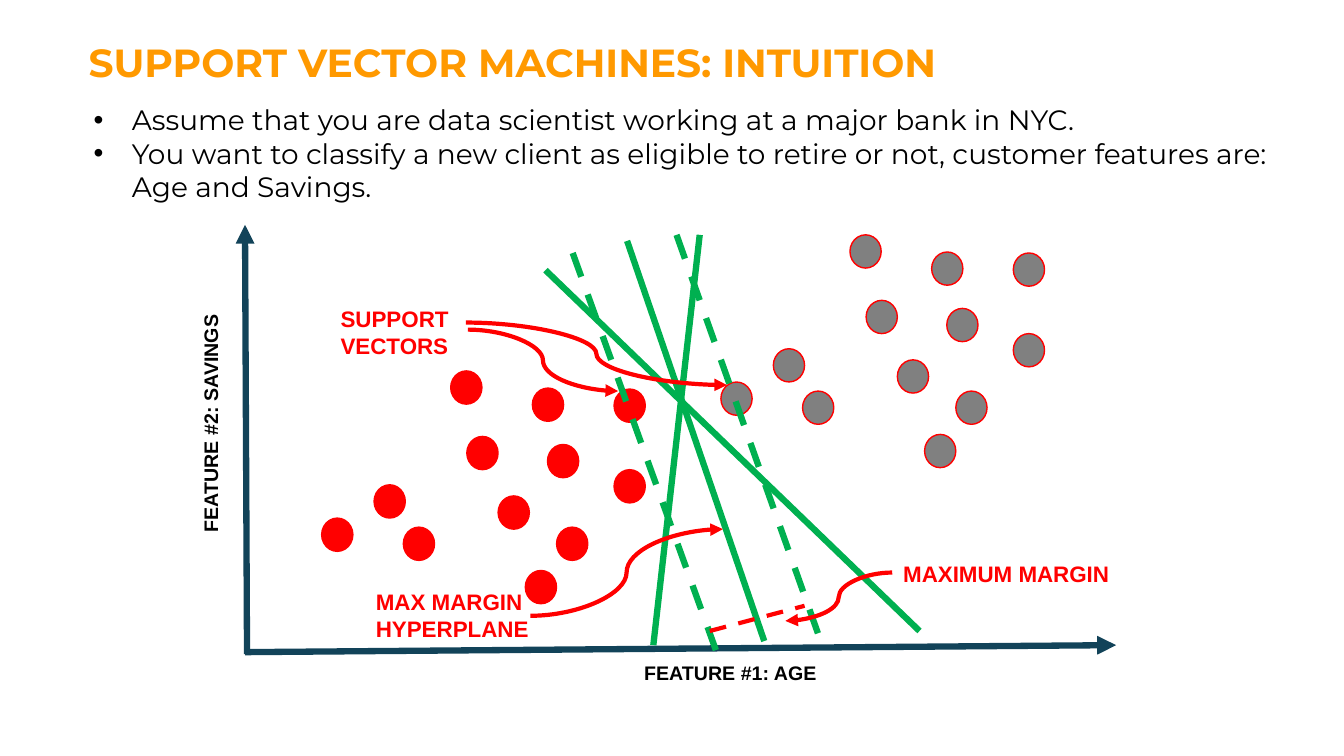
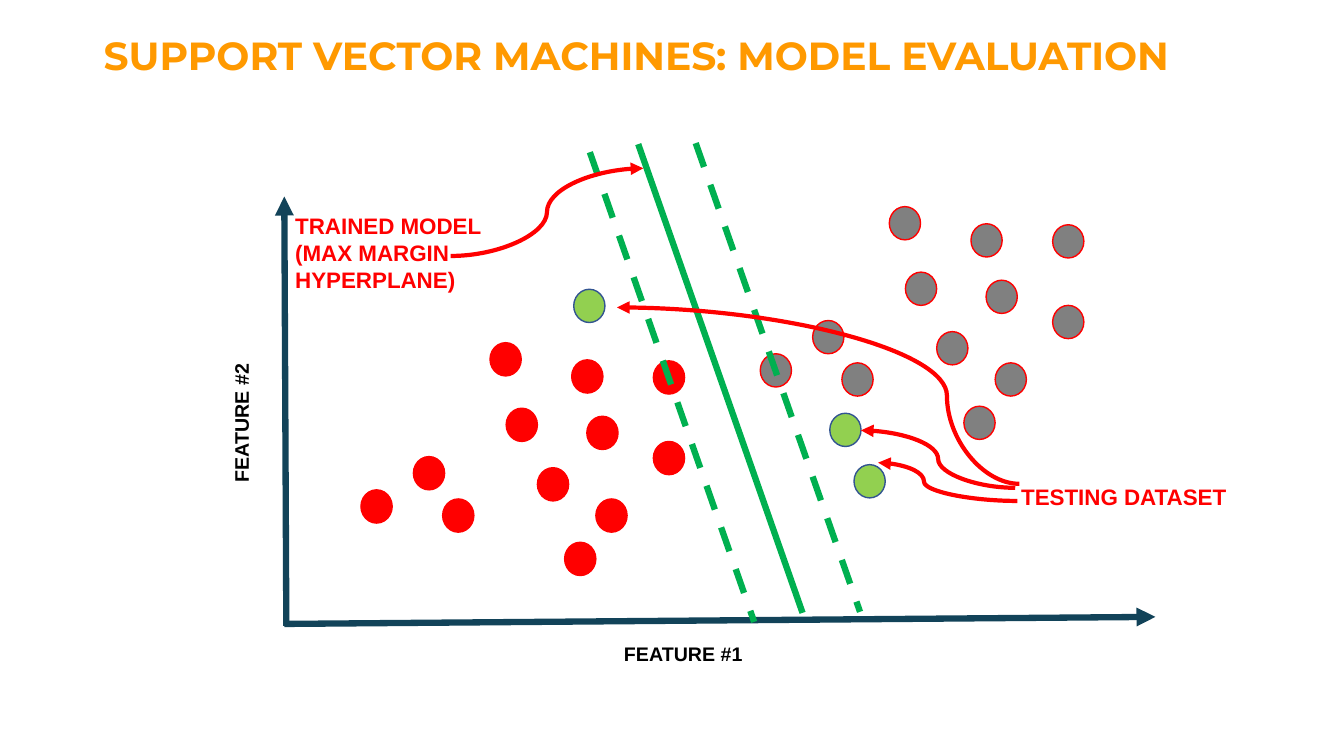
import pptx
import pptx.dml.color
import pptx.enum.dml
import pptx.enum.shapes
import pptx.enum.text
import pptx.oxml.ns
import pptx.util
from lxml import etree

Inches = pptx.util.Inches
Pt = pptx.util.Pt
qn = pptx.oxml.ns.qn
CONNECTOR = pptx.enum.shapes.MSO_CONNECTOR

ORANGE = "FF9900"
BLACK = "000000"
NAVY = "124359"
GREEN = "00B050"
LIME = "92D050"
BLUE = "325491"
RED = "FF0000"
GRAY = "808080"

DOT_SIZE = (0.31, 0.33)
CLUSTER = [
    (0, 0), (0.52, -0.33), (0.81, 0.09), (1.75, -0.22),
    (1.44, -0.81), (1.28, -1.46), (2.09, -1.29), (2.24, -0.73),
    (2.33, 0.09), (2.02, 0.52), (2.9, -0.48), (2.9, -1.28),
]
RED_CLUSTER = (0.76, 2.91)
GRAY_CLUSTER = (4.72, 1.56)


def color(hex_string):
    return pptx.dml.color.RGBColor.from_string(hex_string)


def shift(origin, point):
    return origin[0] + point[0], origin[1] + point[1]


def add_text(shapes, position, size, lines, font_size, hex_string,
             font_name="Arial", bold=True, wrap=False):
    shape = shapes.add_textbox(*map(Inches, (*position, *size)))
    frame = shape.text_frame
    frame.word_wrap = wrap
    frame.auto_size = pptx.enum.text.MSO_AUTO_SIZE.SHAPE_TO_FIT_TEXT
    frame.text = "\n".join(lines)
    for paragraph in frame.paragraphs:
        font = paragraph.font
        font.name = font_name
        font.size = Pt(font_size)
        font.bold = bold
        font.color.rgb = color(hex_string)
    return shape


def add_title(slide, position, width, text):
    add_text(slide.shapes, position, (width, 0.57), [text], 28, ORANGE,
             "Montserrat", wrap=True)


def add_bullets(slide, position, size, lines):
    shape = add_text(slide.shapes, position, size, lines, 20, BLACK,
                     "Montserrat", bold=False, wrap=True)
    for paragraph in shape.text_frame.paragraphs:
        properties = paragraph._p.get_or_add_pPr()
        properties.set("marL", str(Inches(0.38)))
        properties.set("indent", str(Inches(-0.38)))
        bullet_font = etree.Element(qn("a:buFont"), typeface="Arial")
        bullet = etree.Element(qn("a:buChar"), char="•")
        properties.insert(0, bullet_font)
        properties.insert(1, bullet)


def add_line(shapes, origin, start, end, hex_string, width=4.5,
             dashed=False, arrow=False, bend=None):
    kind = CONNECTOR.STRAIGHT if bend is None else CONNECTOR.CURVE
    ends = (*shift(origin, start), *shift(origin, end))
    connector = shapes.add_connector(kind, *map(Inches, ends))
    connector.line.color.rgb = color(hex_string)
    connector.line.width = Pt(width)
    if dashed:
        connector.line.dash_style = pptx.enum.dml.MSO_LINE.DASH
    properties = connector._element.spPr
    if arrow:
        etree.SubElement(properties.find(qn("a:ln")), qn("a:tailEnd"), type="triangle")
    if bend is not None:
        geometry = properties.find(qn("a:prstGeom"))
        adjustments = geometry.find(qn("a:avLst"))
        if adjustments is None:
            adjustments = etree.SubElement(geometry, qn("a:avLst"))
        etree.SubElement(adjustments, qn("a:gd"), name="adj1",
                         fmla=f"val {round(bend * 100000)}")
    etree.SubElement(properties, qn("a:effectLst"))


def add_dots(slide, origin, points, fill, outline):
    for point in points:
        box = (*shift(origin, point), *DOT_SIZE)
        dot = slide.shapes.add_shape(pptx.enum.shapes.MSO_SHAPE.OVAL, *map(Inches, box))
        dot.shadow.inherit = False
        dot.fill.solid()
        dot.fill.fore_color.rgb = color(fill)
        dot.line.color.rgb = color(outline)
        dot.line.width = Pt(1)


def add_scatter(slide, origin):
    add_line(slide.shapes, origin, (0, 4.24), (8.64, 4.17), NAVY, arrow=True)
    add_line(slide.shapes, origin, (0.02, 4.26), (0, 0), NAVY, arrow=True)
    add_dots(slide, shift(origin, GRAY_CLUSTER), CLUSTER, GRAY, RED)
    add_dots(slide, shift(origin, RED_CLUSTER), CLUSTER, RED, RED)


def add_axis_title(slide, origin, position, width, text, rotation=0):
    shape = add_text(slide.shapes, shift(origin, position), (width, 0.4), [text], 14, BLACK)
    shape.rotation = rotation


def add_boundaries(slide, origin, solid, dashed):
    for lines, is_dashed in ((solid, False), (dashed, True)):
        for start, end in lines:
            add_line(slide.shapes, origin, start, end, GREEN, dashed=is_dashed)


def add_callout(slide, origin, position, size, lines, arrows, wrap=False):
    shapes = slide.shapes.add_group_shape().shapes
    add_text(shapes, shift(origin, position), size, lines, 16, RED, wrap=wrap)
    for start, end, bend in arrows:
        add_line(shapes, origin, start, end, RED, 3, arrow=True, bend=bend)


def add_intuition_slide(slide):
    origin = (2.43, 2.23)
    add_title(slide, (0.78, 0.33), 11.35, "SUPPORT VECTOR MACHINES: INTUITION")
    add_bullets(slide, (0.83, 0.97), (12.13, 1.11), [
        "Assume that you are data scientist working at a major bank in NYC.",
        "You want to classify a new client as eligible to retire or not, "
        "customer features are: Age and Savings.",
    ])
    add_scatter(slide, origin)
    add_axis_title(slide, origin, (3.86, 4.28), 2.06, "FEATURE #1: AGE")
    add_axis_title(slide, origin, (-1.58, 1.68), 2.54, "FEATURE #2: SAVINGS", 270)
    add_boundaries(
        slide, origin,
        solid=[((2.98, 0.45), (6.69, 4.03)),
               ((3.79, 0.16), (5.15, 4.13)),
               ((4.51, 0.1), (4.05, 4.17))],
        dashed=[((3.25, 0.28), (4.67, 4.22)),
                ((4.28, 0.1), (5.71, 4.13))])
    add_callout(slide, origin, (1.2, 3.56), (1.74, 0.64), ["MAX MARGIN", "HYPERPLANE"],
                [((2.83, 3.88), (4.74, 3.02), 0.5)])
    add_callout(slide, origin, (0.85, 0.75), (1.41, 0.64), ["SUPPORT VECTORS"],
                [((2.21, 1.04), (3.7, 1.65), 0.5),
                 ((2.19, 0.97), (4.78, 1.59), 0.5)], wrap=True)
    add_callout(slide, origin, (6.43, 3.28), (2.34, 0.37), ["MAXIMUM MARGIN"],
                [((6.42, 3.45), (5.36, 3.93), 0.5)])
    add_line(slide.shapes, origin, (4.61, 4.03), (5.55, 3.78), RED, 3, dashed=True)


def add_evaluation_slide(slide):
    origin = (2.82, 1.95)
    add_title(slide, (0.93, 0.26), 11.22, "SUPPORT VECTOR MACHINES: MODEL EVALUATION")
    add_scatter(slide, origin)
    add_axis_title(slide, origin, (3.27, 4.37), 1.71, "FEATURE #1")
    add_axis_title(slide, origin, (-1.25, 1.88), 1.71, "FEATURE #2", 270)
    add_boundaries(
        slide, origin,
        solid=[((3.51, -0.52), (5.14, 4.13))],
        dashed=[((3.03, -0.44), (4.66, 4.22)),
                ((4.08, -0.53), (5.71, 4.12))])
    add_callout(slide, origin, (0.01, 0.11), (2.13, 0.91),
                ["TRAINED MODEL", "(MAX MARGIN", "HYPERPLANE)"],
                [((1.65, 0.59), (3.56, -0.28), 0.5)])
    add_dots(slide, origin, [(5.41, 2.15), (5.65, 2.66), (2.87, 0.92)], LIME, BLUE)
    add_callout(slide, origin, (7.21, 2.79), (2.32, 0.37), ["TESTING DATASET"],
                [((7.25, 2.89), (5.72, 2.32), 0.5),
                 ((7.27, 3.02), (5.89, 2.64), 0.67),
                 ((7.29, 2.85), (3.3, 1.1), 0.18)])


def main():
    presentation = pptx.Presentation()
    presentation.slide_width = Inches(13.33)
    presentation.slide_height = Inches(7.5)
    blank = presentation.slide_layouts[6]
    for build in (add_intuition_slide, add_evaluation_slide):
        build(presentation.slides.add_slide(blank))
    presentation.save("out.pptx")


if __name__ == "__main__":
    main()
